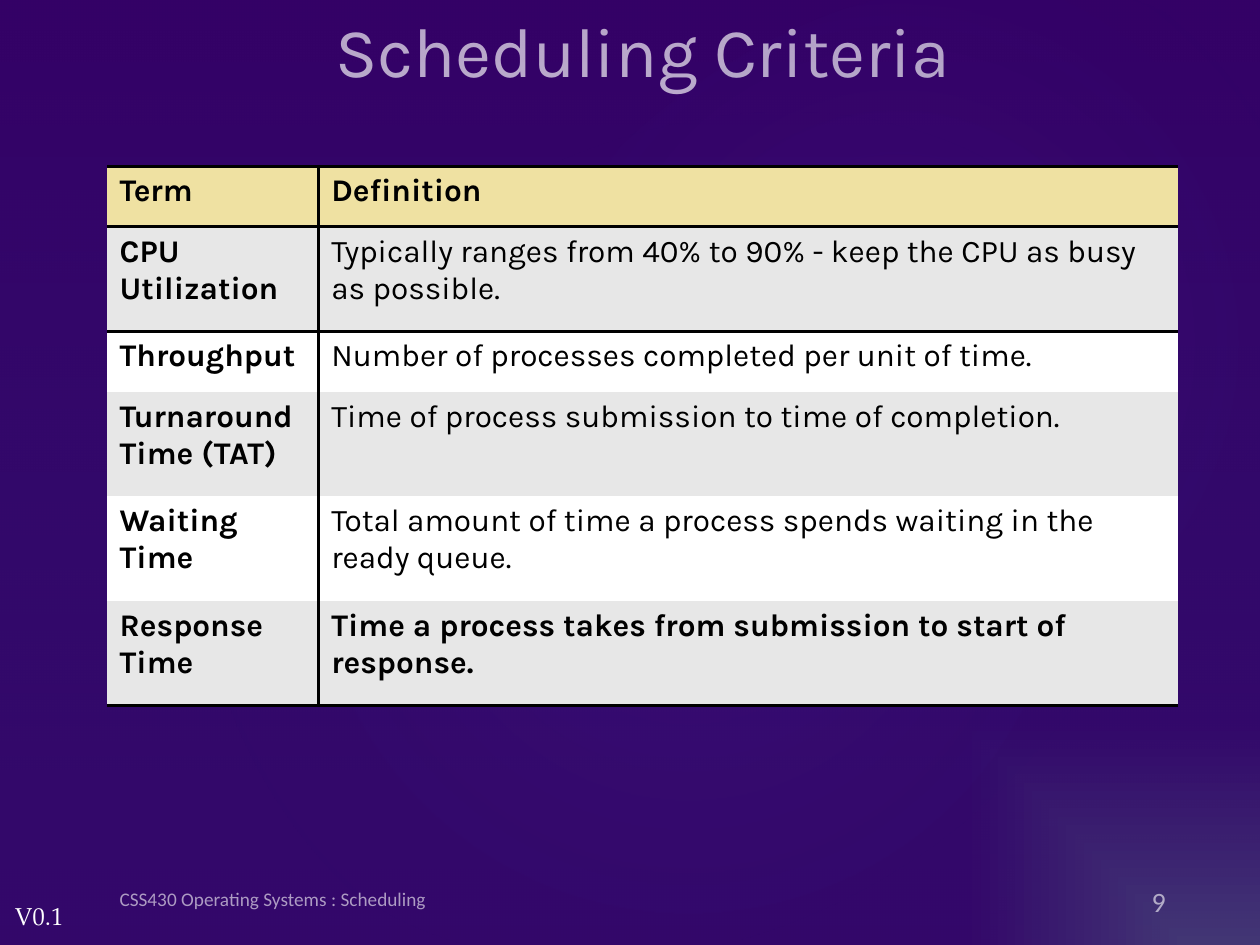
from pptx import Presentation
from pptx.dml.color import RGBColor
from pptx.enum import shapes, text
from pptx.oxml import parse_xml
from pptx.oxml.ns import nsdecls, qn
from pptx.util import Inches, Pt

COLOURS = {
    "purple": "350267",
    "slate": "463673",
    "violet": "330066",
    "blue": "263B86",
    "glow": "A347FF",
    "white": "FFFFFF",
    "black": "000000",
    "header": "EFE1A2",
    "band": "E7E7E7",
}
CENTRE = (50, 50, 50, 50)
CORNER = (100, 100, 0, 0)
NO_STYLE = "{2D5ABB26-0587-4C30-8999-92F81FD0307C}"
ROWS = [
    ("Term", "Definition"),
    ("CPU Utilization", "Typically ranges from 40% to 90% - keep the CPU as busy as possible."),
    ("Throughput", "Number of processes completed per unit of time."),
    ("Turnaround Time (TAT)", "Time of process submission to time of completion."),
    ("Waiting Time", "Total amount of time a process spends waiting in the ready queue."),
    ("Response Time", "Time a process takes from submission to start of response."),
]
ROW_HEIGHTS = [0.48, 0.83, 0.48, 0.83, 0.83, 0.83]
COLUMN_WIDTHS = [1.68, 6.82]


def rgb(name):
    return RGBColor.from_string(COLOURS[name])


def colour_xml(name, alpha=100):
    return f'<a:srgbClr val="{COLOURS[name]}"><a:alpha val="{alpha * 1000}"/></a:srgbClr>'


def paint_gradient(fill, owner, stops, kind=None, focus=None):
    fill.gradient()
    old = owner.find(".//" + qn("a:gradFill"))
    stop_xml = "".join(
        f'<a:gs pos="{place * 1000}">{colour_xml(name, alpha)}</a:gs>'
        for place, name, alpha in stops
    )
    if kind:
        sides = " ".join(f'{side}="{value * 1000}"' for side, value in zip("ltrb", focus))
        shade = f'<a:path path="{kind}"><a:fillToRect {sides}/></a:path>'
    else:
        shade = '<a:lin ang="5400000" scaled="0"/>'
    new = parse_xml(
        f'<a:gradFill {nsdecls("a")} rotWithShape="1"><a:gsLst>{stop_xml}</a:gsLst>{shade}</a:gradFill>'
    )
    old.getparent().replace(old, new)


def add_glow(page, preset, place, stops, kind=None, rotation=0):
    shape = page.shapes.add_shape(preset, *map(Inches, place))
    shape.rotation = rotation
    shape.shadow.inherit = False
    shape.line.fill.background()
    paint_gradient(shape.fill, shape._element, stops, kind, CENTRE)


def format_text(para, size, font, colour, bold=False, alpha=100):
    for span in para.runs:
        span.font.size = Pt(size)
        span.font.name = font
        span.font.bold = bold
        span.font.color.rgb = rgb(colour)
        if alpha < 100:
            clr = span._r.find(".//" + qn("a:srgbClr"))
            clr.append(parse_xml(f'<a:alpha {nsdecls("a")} val="{alpha * 1000}"/>'))


def add_label(page, place, words, size, font, align=text.PP_ALIGN.LEFT, alpha=100, wrap=True):
    box = page.shapes.add_textbox(*map(Inches, place))
    frame = box.text_frame
    frame.word_wrap = wrap
    frame.vertical_anchor = text.MSO_ANCHOR.MIDDLE
    frame.text = words
    frame.paragraphs[0].alignment = align
    format_text(frame.paragraphs[0], size, font, "white", alpha=alpha)


def set_title(page, words):
    title = page.shapes.title
    title.left, title.top, title.width, title.height = map(Inches, (0.85, 0, 8.5, 0.79))
    frame = title.text_frame
    frame.text = words
    frame.auto_size = text.MSO_AUTO_SIZE.NONE
    frame.vertical_anchor = text.MSO_ANCHOR.MIDDLE
    frame.paragraphs[0].alignment = text.PP_ALIGN.CENTER
    format_text(frame.paragraphs[0], 40, "Karla", "white")


def set_borders(cell, widths):
    properties = cell._tc.get_or_add_tcPr()
    for side in "LRTB":
        if side in widths:
            properties.append(parse_xml(
                f'<a:ln{side} {nsdecls("a")} w="{Pt(widths[side])}">'
                f'<a:solidFill>{colour_xml("black")}</a:solidFill></a:ln{side}>'
            ))


def add_terms_table(page):
    frame = page.shapes.add_table(
        len(ROWS), 2, Inches(0.85), Inches(1.32),
        Inches(sum(COLUMN_WIDTHS)), Inches(sum(ROW_HEIGHTS)),
    )
    table = frame.table
    table.first_row = table.horz_banding = False
    frame._element.find(".//" + qn("a:tableStyleId")).text = NO_STYLE
    for column, width in zip(table.columns, COLUMN_WIDTHS):
        column.width = Inches(width)
    last = len(ROWS) - 1
    for r, words in enumerate(ROWS):
        table.rows[r].height = Inches(ROW_HEIGHTS[r])
        for c, word in enumerate(words):
            cell = table.cell(r, c)
            widths = {"L" if c else "R": 2.25}
            if r < 2:
                widths["T"] = 2
            if r in (0, last):
                widths["B"] = 2
            set_borders(cell, widths)
            cell.fill.solid()
            cell.fill.fore_color.rgb = rgb("header" if r == 0 else "band" if r % 2 else "white")
            cell.text_frame.text = word
            bold = c == 0 or r in (0, last)
            format_text(cell.text_frame.paragraphs[0], 18, "Karla", "black", bold)


def main():
    deck = Presentation()
    deck.slide_width, deck.slide_height = Inches(10), Inches(7.5)
    page = deck.slides.add_slide(deck.slide_layouts[5])
    paint_gradient(page.background.fill, page._element,
                   [(0, "slate", 100), (47, "purple", 100)], "rect", CORNER)
    add_glow(page, shapes.MSO_SHAPE.RECTANGLE, (0, 0, 10, 7.5),
             [(0, "violet", 36), (100, "blue", 10)])
    for place, alpha in (((1.5, 1.14, 7.92, 6.24), 7), ((3.58, 0.13, 7.09, 5.2), 8)):
        add_glow(page, shapes.MSO_SHAPE.OVAL, place,
                 [(0, "glow", alpha), (58, "blue", 0)], "circle", 328.7)
    add_label(page, (0.02, 7.1, 0.59, 0.34), "V0.1", 14, "TeX Gyre Pagella", wrap=False)
    add_terms_table(page)
    set_title(page, "Scheduling Criteria")
    add_label(page, (8.23, 6.95, 1.12, 0.4), "9", 16, "Calibri", text.PP_ALIGN.RIGHT, 60)
    add_label(page, (0.85, 6.93, 5.05, 0.4), "CSS430 Operating Systems : Scheduling",
              11, "Calibri", alpha=60)
    deck.save("out.pptx")


if __name__ == "__main__":
    main()
